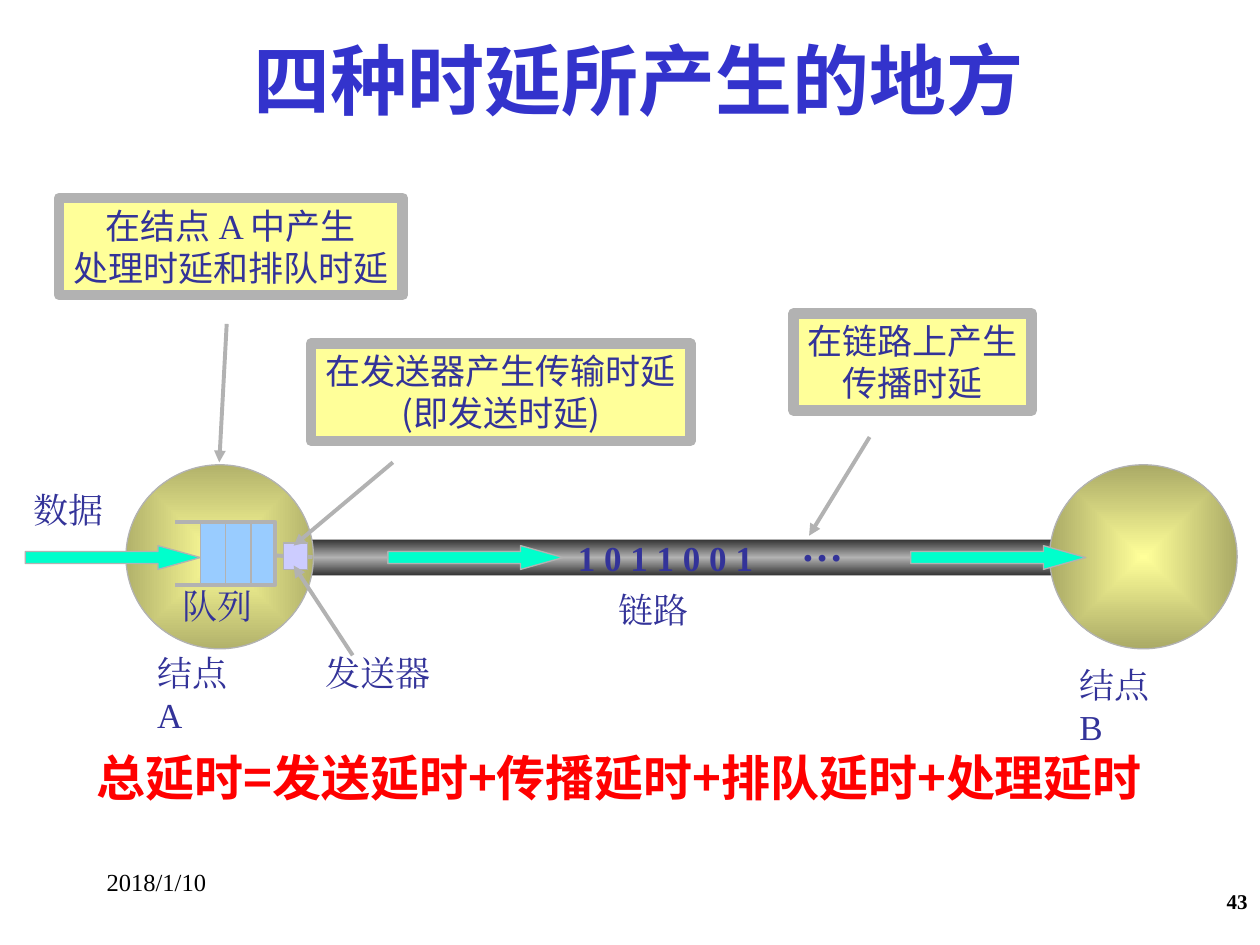
from dataclasses import dataclass
from lxml import etree
from pptx import Presentation
from pptx.dml.color import RGBColor as RGB
from pptx.enum.shapes import MSO_CONNECTOR as LINK, MSO_SHAPE as KIND
from pptx.enum.text import MSO_ANCHOR as ANCHOR, MSO_AUTO_SIZE as FIT, PP_ALIGN as ALIGN
from pptx.oxml import parse_xml
from pptx.oxml.ns import nsdecls, qn
from pptx.util import Cm, Pt


@dataclass
class Theme:
    grey: str = "B2B2B2"
    dark: str = "313131"
    note: str = "FFFF99"
    queue: str = "99CCFF"
    sender: str = "CCCCFF"
    flow: str = "00FFCC"
    serif: str = "Times New Roman"
    # Text roles: size, font, colour, bold, alignment, wrap
    title: tuple = (44, "Noto Sans CJK SC", "3333CC", True, ALIGN.CENTER, True)
    call: tuple = (20, "Noto Sans CJK SC", "333399", False, ALIGN.CENTER, False)
    label: tuple = (20, serif, "333399", False, ALIGN.LEFT, False)
    node: tuple = (20, serif, "333399", False, ALIGN.LEFT, True)
    bits: tuple = (20, serif, "333399", True, ALIGN.LEFT, False)
    dots: tuple = (24, serif, "333399", True, ALIGN.LEFT, False)
    total: tuple = (28, "Noto Sans CJK JP", "FF0000", True, ALIGN.LEFT, True)
    date: tuple = (14, serif, "000000", False, ALIGN.LEFT, True)
    page: tuple = (12, serif, "000000", True, ALIGN.RIGHT, True)


theme = Theme()
deck = Presentation()
deck.slide_width, deck.slide_height = Cm(25.4), Cm(19.05)
slide = deck.slides.add_slide(deck.slide_layouts[5])
shapes = slide.shapes


def draw(kind, box, fill, width=0.75):
    """Add a shape; fill is a colour, or (stops, direction XML) for a gradient."""
    shape = shapes.add_shape(kind, *map(Cm, box))
    shape.shadow.inherit = False
    if isinstance(fill, str):
        shape.fill.solid()
        shape.fill.fore_color.rgb = RGB.from_string(fill)
    else:
        stops = "".join(f'<a:gs pos="{pos * 1000}"><a:srgbClr val="{color}"/></a:gs>'
                        for pos, color in fill[0])
        shape._element.spPr.find(qn("a:prstGeom")).addnext(parse_xml(
            f'<a:gradFill {nsdecls("a")}><a:gsLst>{stops}</a:gsLst>{fill[1]}</a:gradFill>'))
    shape.line.color.rgb = RGB.from_string(theme.grey)
    shape.line.width = Pt(width)
    return shape


def join(ends, width=2.25, head=False):
    """Add a straight line, with an arrowhead at its end if asked."""
    line = shapes.add_connector(LINK.STRAIGHT, *map(Cm, ends))
    line.line.color.rgb = RGB.from_string(theme.grey)
    line.line.width = Pt(width)
    if head:
        etree.SubElement(line.line._get_or_add_ln(), qn("a:tailEnd"), type="triangle")
    etree.SubElement(line._element.spPr, qn("a:effectLst"))


# Title
title = shapes.title
title.left, title.top, title.width, title.height = map(Cm, (3.1, 0.53, 19.91, 2.13))
texts = [(title, ["四种时延所产生的地方 "], theme.title)]

# Link and the two nodes
draw(KIND.RECTANGLE, (6.07, 10.87, 15.34, 0.74),
     (((0, theme.dark), (50, theme.grey), (100, theme.dark)), '<a:lin ang="5400000"/>'))
core = '<a:path path="shape"><a:fillToRect l="50000" t="50000" r="50000" b="50000"/></a:path>'
for left, edge in (2.54, "B2B26B"), (21.16, "AAAA66"):
    draw(KIND.OVAL, (left, 9.37, 3.78, 3.71), (((0, theme.note), (100, edge)), core))

# Queue with its open frame and cells
top, base = 10.52, 11.79
draw(KIND.RECTANGLE, (4.04, top, 1.5, base - top), theme.queue)
path = shapes.build_freeform(Cm(3.53), Cm(top), scale=1.0)
path.add_line_segments([(Cm(x), Cm(y)) for x, y in ((5.55, top), (5.55, base), (3.53, base))],
                       close=False)
frame = path.convert_to_shape()
frame.shadow.inherit = False
frame.fill.background()
frame.line.color.rgb = RGB.from_string(theme.grey)
frame.line.width = Pt(2.25)
for cell in range(3):
    x = 4.04 + 0.51 * cell
    join((x, top, x, base), 0.75)

# Sender
join((5.54, 11.2, 6.3, 11.23))
draw(KIND.RECTANGLE, (5.72, 10.95, 0.48, 0.53), theme.sender)

# Data flow
for left in 7.82, 0.51, 18.36:
    arrow = draw(KIND.RIGHT_ARROW, (left, 11, 3.53, 0.48), theme.flow)
    arrow.adjustments[1] = 1.78

# Pointers
for ends in ((17.53, 8.81, 16.31, 10.8), (7.92, 9.32, 5.92, 11),
             (7.11, 13.21, 5.92, 11.4), (4.57, 6.53, 4.42, 9.32)):
    join(ends, head=True)

# Callouts; text between bars is set in the serif font
for left, up, wide, lines in (
        (16, 6.32, 4.8, ["在链路上产生", "传播时延"]),
        (6.27, 6.93, 7.65, ["在发送器产生传输时延", "(即发送时延)"]),
        (1.19, 3.99, 6.93, ["在结点 |A |中产生", "处理时延和排队时延"])):
    note = draw(KIND.RECTANGLE, (left, up, wide, 1.96), theme.note, 6)
    texts.append((note, lines, theme.call))

# Labels, sum and footer
for box, words, role in (
        ((11.4, 10.69, 4.42, 1.09), "1 0 1 1 0 0 1", theme.bits),
        ((15.9, 10.34, 1.35, 1.27), "…", theme.dots),
        ((6.32, 13, 2.64, 1.12), "发送器", theme.label),
        ((3.43, 11.66, 1.93, 1.12), "队列", theme.label),
        ((0.43, 9.73, 1.93, 1.12), "数据", theme.label),
        ((12.22, 11.73, 1.93, 1.12), "链路", theme.label),
        ((2.92, 13, 2.5, 1.12), "结点 A", theme.node),
        ((21.51, 13.26, 2.5, 1.12), "结点 B", theme.node),
        ((1.9, 17.35, 5.28, 1.27), "2018/1/10", theme.date),
        ((10.59, 17.78, 14.81, 1.27), "43", theme.page),
        ((1.7, 14.94, 22.4, 1.45), "总延时=发送延时+传播延时+排队延时+处理延时", theme.total)):
    texts.append((shapes.add_textbox(*map(Cm, box)), [words], role))

# Wording and type
for shape, lines, (size, name, color, bold, align, wrap) in texts:
    body = shape.text_frame
    body.word_wrap, body.auto_size = wrap, FIT.NONE
    body.vertical_anchor = ANCHOR.MIDDLE if shape is title else ANCHOR.TOP
    for row, line in enumerate(lines):
        para = body.add_paragraph() if row else body.paragraphs[0]
        para.alignment = align
        font = para.font
        font.size, font.name, font.bold = Pt(size), name, bold
        font.color.rgb = RGB.from_string(color)
        etree.SubElement(font._element, qn("a:ea"), typeface=name)
        for turn, part in enumerate(line.split("|")):
            run = para.add_run()
            run.text = part
            if turn % 2:
                run.font.name = theme.serif

deck.save("out.pptx")
